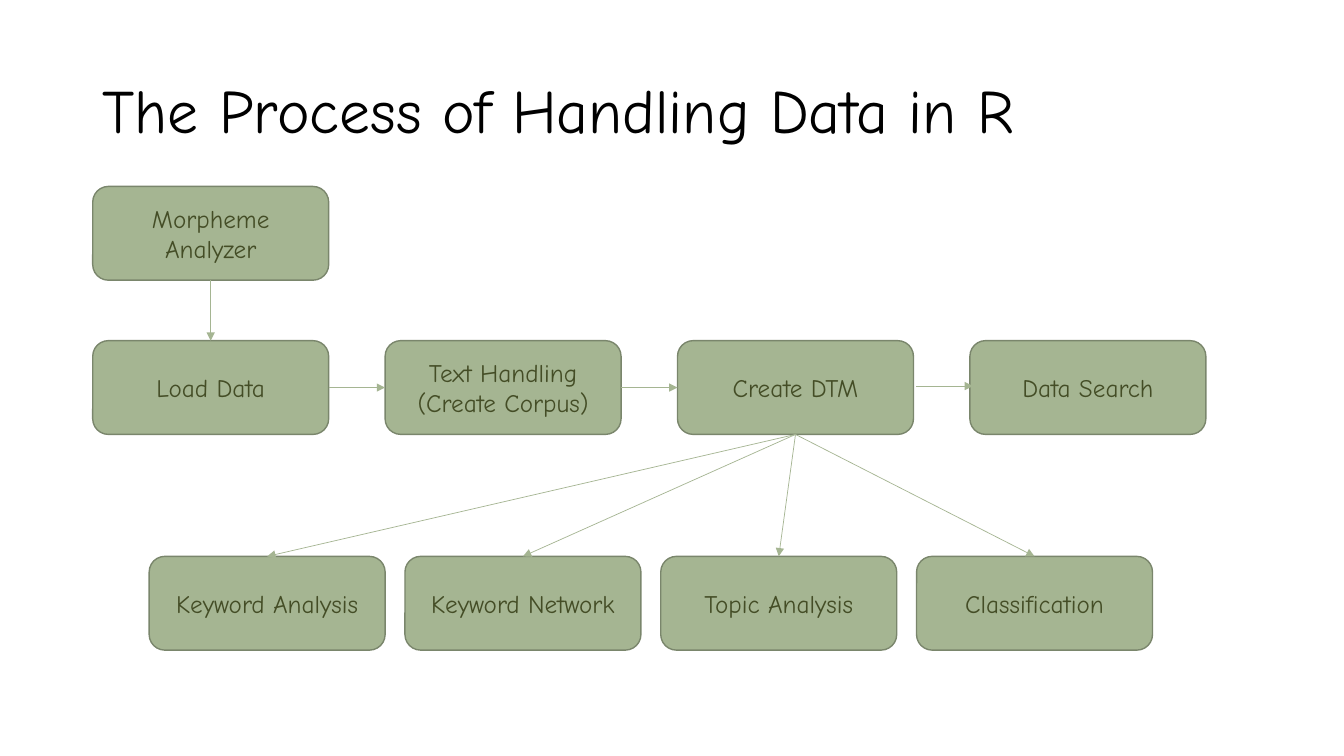
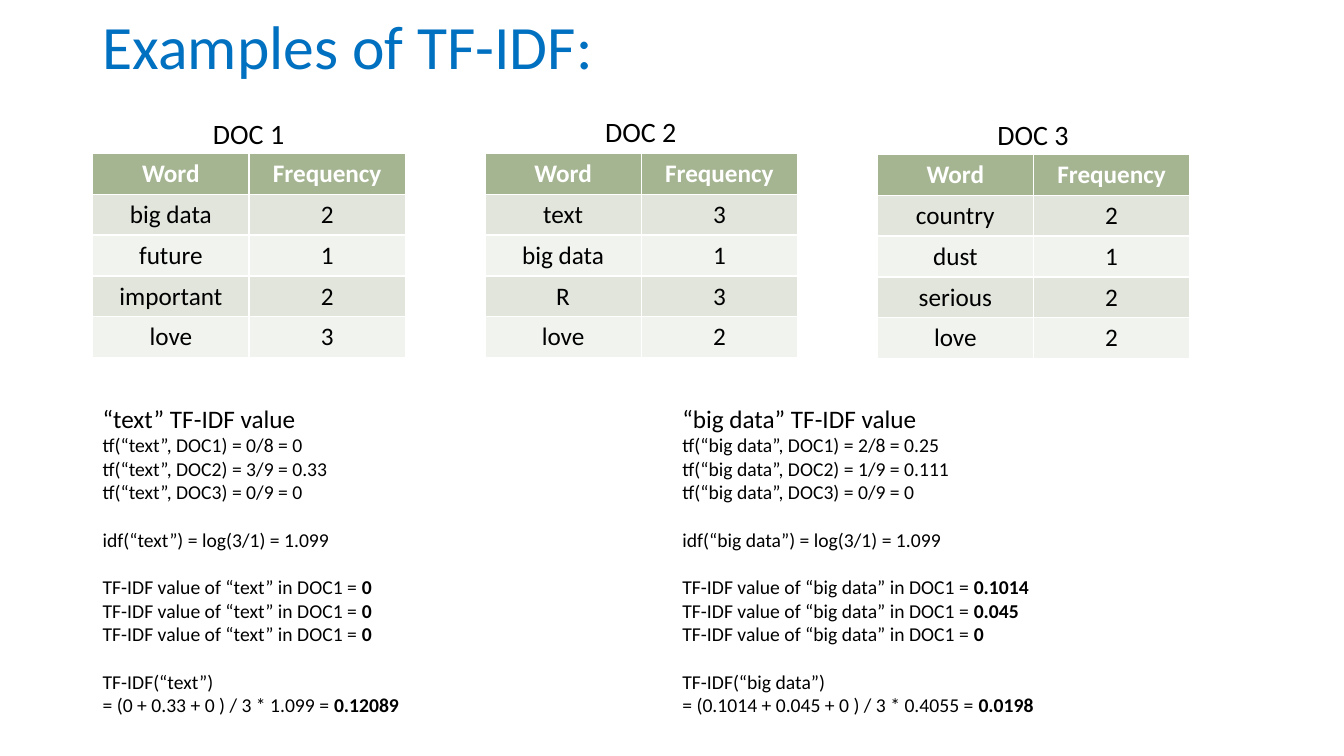
from lxml import etree
from pptx import Presentation
from pptx.dml.color import RGBColor
from pptx.enum.shapes import MSO_CONNECTOR, MSO_SHAPE
from pptx.enum.text import MSO_ANCHOR, PP_ALIGN
from pptx.oxml.ns import qn
from pptx.util import Inches, Pt

ROUNDED = MSO_SHAPE.ROUNDED_RECTANGLE
STRAIGHT = MSO_CONNECTOR.STRAIGHT
LEFT, CENTER = PP_ALIGN.LEFT, PP_ALIGN.CENTER
TOP, MIDDLE = MSO_ANCHOR.TOP, MSO_ANCHOR.MIDDLE
SITE_TOP, SITE_LEFT, SITE_BOTTOM, SITE_RIGHT = range(4)

COLORS = {
    "black": "000000", "white": "FFFFFF", "blue": "0070C0",
    "sage": "A5B592", "edge": "7A866C", "olive": "444D26",
    "band_dark": "E1E5DC", "band_light": "F0F3EE",
}
HAND, SANS = "Comic Neue", "Calibri"
MARGIN = 0.92
BOX_W, BOX_H = 2.34, 0.93
LINE_GAP = 17


def rgb(name):
    return RGBColor.from_string(COLORS[name])


class Deck:
    """Hold the presentation style and draw elements on the current slide."""

    def __init__(self):
        self.prs = Presentation()
        self.prs.slide_width = Inches(13.33)
        self.prs.slide_height = Inches(7.5)
        self.s = None

    def slide(self):
        self.s = self.prs.slides.add_slide(self.prs.slide_layouts[6])

    def run(self, p, text, font, size, color, bold=False):
        r = p.add_run()
        r.text = text
        r.font.name = font
        r.font.size = Pt(size)
        r.font.bold = bold
        r.font.color.rgb = rgb(color)

    def paragraph(self, tf, first, align=LEFT):
        p = tf.paragraphs[0] if first else tf.add_paragraph()
        p.alignment = align
        return p

    def textbox(self, x, y, w, h, anchor=TOP):
        tf = self.s.shapes.add_textbox(Inches(x), Inches(y), Inches(w), Inches(h)).text_frame
        tf.word_wrap = True
        tf.vertical_anchor = anchor
        return tf

    def title(self, text, y, h, font, color):
        p = self.paragraph(self.textbox(MARGIN, y, 11.5, h, MIDDLE), True)
        p.line_spacing = 0.9
        self.run(p, text, font, 44, color)

    def box(self, x, y, *lines):
        sp = self.s.shapes.add_shape(ROUNDED, Inches(x), Inches(y), Inches(BOX_W), Inches(BOX_H))
        sp.shadow.inherit = False
        sp.fill.solid()
        sp.fill.fore_color.rgb = rgb("sage")
        sp.line.color.rgb = rgb("edge")
        sp.line.width = Pt(1)
        tf = sp.text_frame
        tf.word_wrap = True
        tf.vertical_anchor = MIDDLE
        for i, line in enumerate(lines):
            self.run(self.paragraph(tf, i == 0, CENTER), line, HAND, 18, "olive")
        return sp

    def arrow(self, x1, y1, x2, y2):
        c = self.s.shapes.add_connector(STRAIGHT, Inches(x1), Inches(y1), Inches(x2), Inches(y2))
        c.line.color.rgb = rgb("sage")
        c.line.width = Pt(0.5)
        etree.SubElement(c.line._get_or_add_ln(), qn("a:tailEnd"), type="triangle")
        etree.SubElement(c._element.spPr, qn("a:effectLst"))
        return c

    def join(self, start, start_site, end, end_site):
        c = self.arrow(0, 0, 1, 1)
        c.begin_connect(start, start_site)
        c.end_connect(end, end_site)

    def caption(self, text, x, y):
        p = self.paragraph(self.textbox(x, y, 1.89, 0.44), True, CENTER)
        self.run(p, text, SANS, 20, "black")

    def table(self, x, y, rows):
        table = self.s.shapes.add_table(len(rows), 2, Inches(x), Inches(y), Inches(3.1), Inches(2.03)).table
        for i, row in enumerate(rows):
            header = i == 0
            fill = "sage" if header else ("band_light", "band_dark")[i % 2]
            for j, text in enumerate(row):
                cell = table.cell(i, j)
                cell.fill.solid()
                cell.fill.fore_color.rgb = rgb(fill)
                p = self.paragraph(cell.text_frame, True, CENTER)
                self.run(p, text, SANS, 18, "white" if header else "black", header)

    def calculation(self, x, term, tfs, idf, values, average, result):
        tf = self.textbox(x, 3.95, 5.44, 3.23)
        p = self.paragraph(tf, True)
        self.run(p, f"“{term}” TF-IDF value", SANS, 18, "black")
        groups = [
            [(f"tf(“{term}”, DOC{n}) = {value}", "") for n, value in enumerate(tfs, 1)],
            [(f"idf(“{term}”) = {idf}", "")],
            [(f"TF-IDF value of “{term}” in DOC1 = ", value) for value in values],
            [(f"TF-IDF(“{term}”)", ""), (f"= {average} = ", result)],
        ]
        for g, group in enumerate(groups):
            for i, (text, answer) in enumerate(group):
                p = self.paragraph(tf, False)
                if g and i == 0:
                    p.space_before = Pt(LINE_GAP)
                self.run(p, text, SANS, 14, "black")
                if answer:
                    self.run(p, answer, SANS, 14, "black", True)


def process_slide(deck):
    deck.slide()
    deck.title("The Process of Handling Data in R", 0.4, 1.45, HAND, "black")
    analyzer = deck.box(MARGIN, 1.85, "Morpheme Analyzer")
    steps = [("Load Data",), ("Text Handling", "(Create Corpus)"), ("Create DTM",), ("Data Search",)]
    load, corpus, dtm, _ = [deck.box(MARGIN + 2.9 * i, 3.38, *lines) for i, lines in enumerate(steps)]
    names = ["Keyword Analysis", "Keyword Network", "Topic Analysis", "Classification"]
    analyses = [deck.box(1.48 + 2.537 * i, 5.52, name) for i, name in enumerate(names)]
    deck.join(analyzer, SITE_BOTTOM, load, SITE_TOP)
    deck.join(load, SITE_RIGHT, corpus, SITE_LEFT)
    deck.join(corpus, SITE_RIGHT, dtm, SITE_LEFT)
    deck.arrow(9.09, 3.83, 9.65, 3.83)
    for analysis in analyses:
        deck.join(dtm, SITE_BOTTOM, analysis, SITE_TOP)


def tfidf_slide(deck):
    deck.slide()
    deck.title("Examples of TF-IDF:", 0.07, 0.85, SANS, "blue")
    docs = [
        (1.11, 1.52, [("big data", "2"), ("future", "1"), ("important", "2"), ("love", "3")]),
        (1.09, 1.52, [("text", "3"), ("big data", "1"), ("R", "3"), ("love", "2")]),
        (1.12, 1.53, [("country", "2"), ("dust", "1"), ("serious", "2"), ("love", "2")]),
    ]
    for i, (caption_y, table_y, words) in enumerate(docs):
        x = MARGIN + 3.89 * i
        deck.table(x, table_y, [("Word", "Frequency")] + words)
        deck.caption(f"DOC {i + 1}", x + 0.6, caption_y)
    deck.calculation(
        MARGIN, "text", ["0/8 = 0", "3/9 = 0.33", "0/9 = 0"], "log(3/1) = 1.099",
        ["0", "0", "0"], "(0 + 0.33 + 0 ) / 3 * 1.099", "0.12089")
    deck.calculation(
        6.67, "big data", ["2/8 = 0.25", "1/9 = 0.111", "0/9 = 0"], "log(3/1) = 1.099",
        ["0.1014", "0.045", "0"], "(0.1014 + 0.045 + 0 ) / 3 * 0.4055", "0.0198")


def main():
    deck = Deck()
    process_slide(deck)
    tfidf_slide(deck)
    deck.prs.save("out.pptx")


if __name__ == "__main__":
    main()
